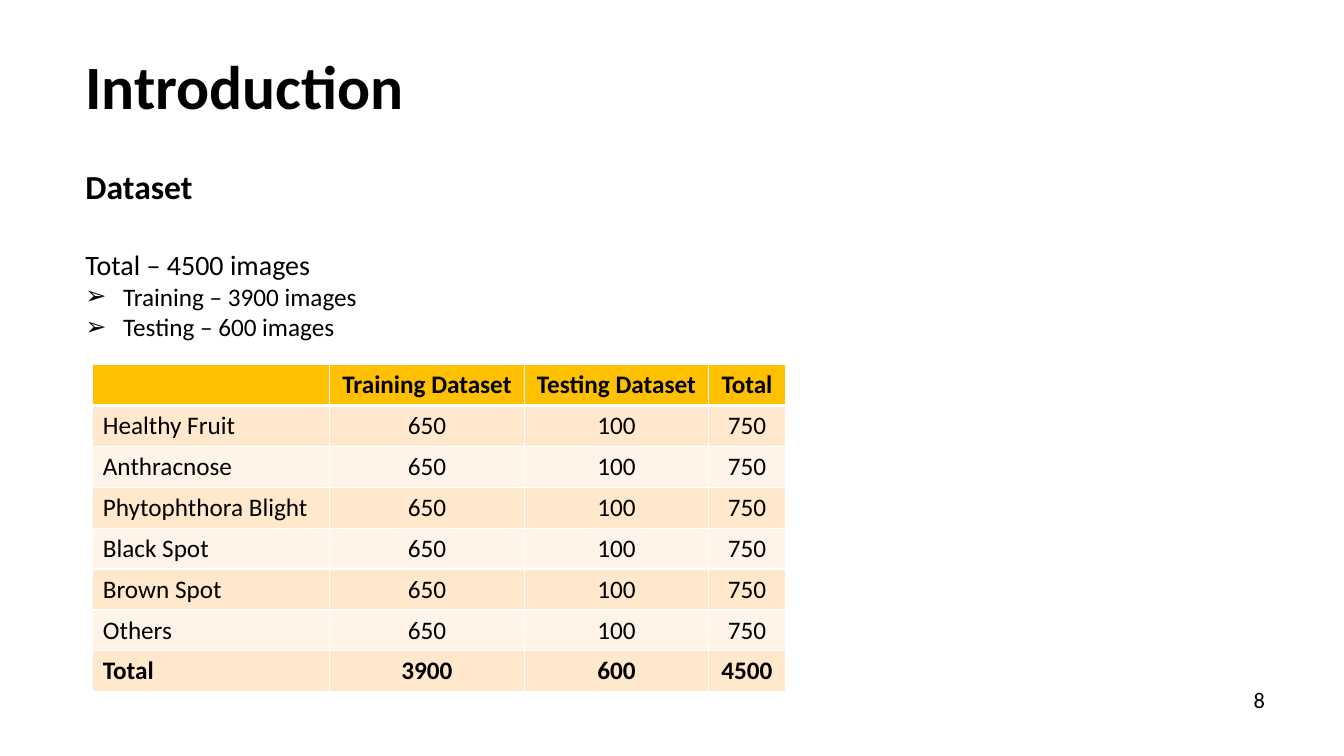
import lxml.etree
import pptx
import pptx.dml.color
import pptx.enum.text
import pptx.oxml.ns
import pptx.util

Cm = pptx.util.Cm
Pt = pptx.util.Pt
ALIGN = pptx.enum.text.PP_ALIGN
ANCHOR = pptx.enum.text.MSO_ANCHOR
NO_FIT = pptx.enum.text.MSO_AUTO_SIZE.NONE


def rgb(code):
    return pptx.dml.color.RGBColor.from_string(code)


def assign(target, values):
    for name, value in values.items():
        setattr(target, name, value)


def add_xml(parent, tag, **attributes):
    return lxml.etree.SubElement(parent, pptx.oxml.ns.qn(tag), attributes)


class Deck:
    font = "Calibri"
    ink = "000000"
    header_fill = "FFC000"
    band_fills = ("FFE8CC", "FFF4E7")
    grid = "FFFFFF"

    def __init__(self, width, height):
        self.presentation = pptx.Presentation()
        assign(self.presentation, {"slide_width": Cm(width), "slide_height": Cm(height)})
        self.slide = self.presentation.slides.add_slide(self.presentation.slide_layouts[1])

    def set_text(self, paragraph, text, size, bold=False, align=ALIGN.LEFT, before=0):
        assign(paragraph, {"alignment": align, "space_before": Pt(before)})
        if text:
            run = paragraph.add_run()
            run.text = text
            assign(run.font, {"name": self.font, "size": Pt(size), "bold": bold})
            run.font.color.rgb = rgb(self.ink)

    def place(self, shape, box, anchor=ANCHOR.TOP):
        assign(shape, dict(zip(("left", "top", "width", "height"), map(Cm, box))))
        frame = shape.text_frame
        assign(frame, {"word_wrap": True, "auto_size": NO_FIT, "vertical_anchor": anchor})
        return frame

    def title(self, text, box):
        frame = self.place(self.slide.shapes.title, box)
        self.set_text(frame.paragraphs[0], text, 44, True)

    def body(self, lines, box):
        frame = self.place(self.slide.placeholders[1], box)
        for index, (text, size, bold, before, bullet) in enumerate(lines):
            paragraph = frame.add_paragraph() if index else frame.paragraphs[0]
            properties = paragraph._p.get_or_add_pPr()
            indent = Cm(0.95) if bullet else 0
            properties.set("marL", str(indent))
            properties.set("indent", str(-indent))
            if bullet:
                add_xml(properties, "a:buChar", char=bullet)
            else:
                add_xml(properties, "a:buNone")
            self.set_text(paragraph, text, size, bold, ALIGN.JUSTIFY, before)

    def page_number(self, text, box):
        frame = self.place(self.slide.shapes.add_textbox(*map(Cm, box)), box, ANCHOR.MIDDLE)
        self.set_text(frame.paragraphs[0], text, 16, align=ALIGN.RIGHT)

    def borders(self, cell, row):
        properties = cell._tc.get_or_add_tcPr()
        widths = {"L": 1, "R": 1, "T": 3 if row == 1 else 1, "B": 3 if row == 0 else 1}
        for side, width in widths.items():
            line = add_xml(properties, f"a:ln{side}", w=str(Pt(width)))
            add_xml(add_xml(line, "a:solidFill"), "a:srgbClr", val=self.grid)

    def table(self, rows, left, top, widths, row_height):
        table = self.slide.shapes.add_table(
            len(rows), len(widths), Cm(left), Cm(top),
            Cm(sum(widths)), Cm(row_height * len(rows))).table
        for column, width in zip(table.columns, widths):
            column.width = Cm(width)
        for r, values in enumerate(rows):
            table.rows[r].height = Cm(row_height)
            fill = self.band_fills[(r - 1) % 2] if r else self.header_fill
            for c, value in enumerate(values):
                cell = table.cell(r, c)
                self.borders(cell, r)
                cell.fill.solid()
                cell.fill.fore_color.rgb = rgb(fill)
                self.set_text(cell.text_frame.paragraphs[0], str(value), 18,
                              r in (0, len(rows) - 1), ALIGN.CENTER if c else ALIGN.LEFT)


def main():
    deck = Deck(33.87, 19.05)
    deck.title("Introduction", (1.9, 1.09, 31.95, 2.13))
    deck.body([
        ("Dataset", 24, True, 0, None),
        ("Total – 4500 images", 20, False, 29.3, None),
        ("Training – 3900 images", 18, False, 0, "➢"),
        ("Testing – 600 images", 18, False, 0, "➢"),
    ], (1.9, 4.06, 10.85, 5.46))
    deck.page_number("8", (24.51, 17.12, 7.62, 1.02))

    classes = ["Healthy Fruit", "Anthracnose", "Phytophthora Blight",
               "Black Spot", "Brown Spot", "Others"]
    training, testing = 650, 100
    counts = (training, testing, training + testing)
    rows = [("", "Training Dataset", "Testing Dataset", "Total")]
    rows += [(name, *counts) for name in classes]
    rows.append(("Total", *(count * len(classes) for count in counts)))
    deck.table(rows, 2.34, 9.19, (5.97, 4.9, 4.65, 1.93), 1.03)
    deck.presentation.save("out.pptx")


if __name__ == "__main__":
    main()
